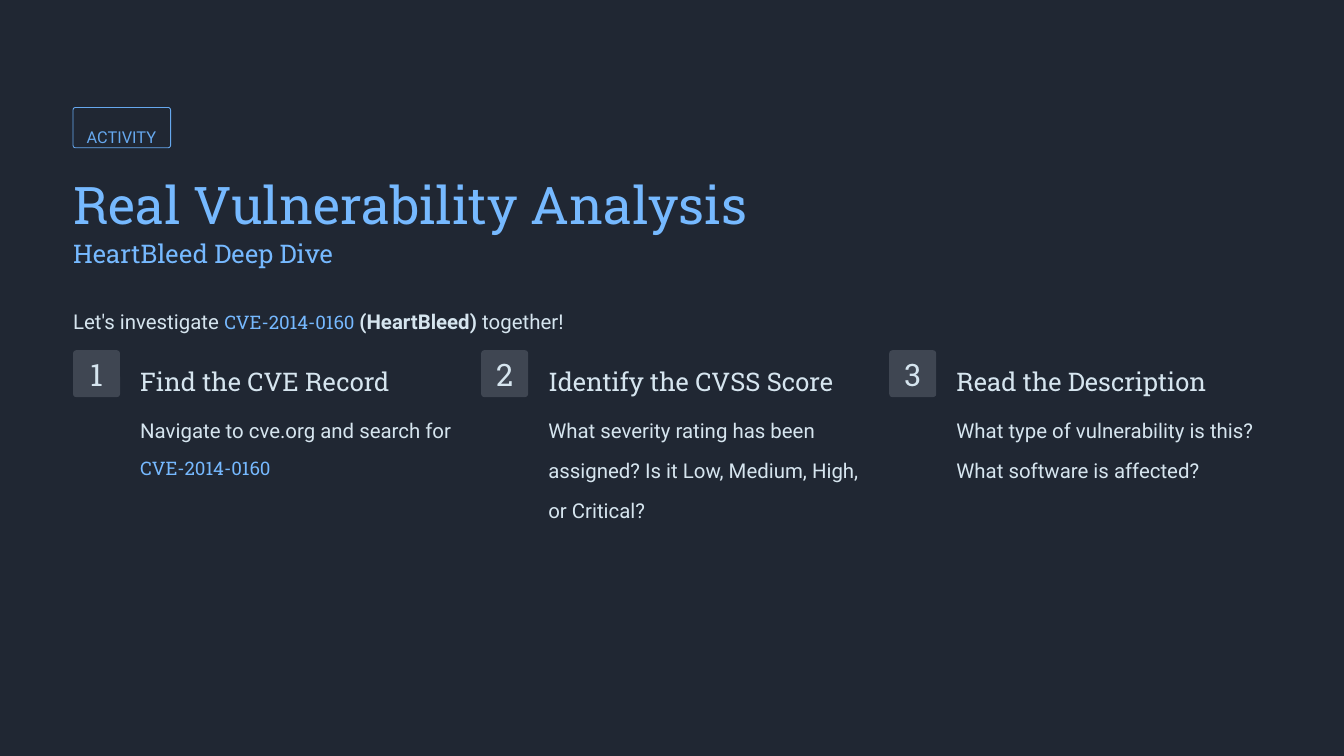
from pptx import Presentation
from pptx.dml.color import RGBColor
from pptx.enum.shapes import MSO_SHAPE
from pptx.enum.text import MSO_ANCHOR, PP_ALIGN
from pptx.util import Cm, Pt

NIGHT = RGBColor(0x20, 0x27, 0x33)
SLATE = RGBColor(0x3F, 0x46, 0x52)
SKY = RGBColor(0x76, 0xB9, 0xFF)
TAG_BLUE = RGBColor(0x66, 0xA8, 0xEE)
MIST = RGBColor(0xD6, 0xE5, 0xEF)

SANS = "Roboto"
SLAB = "Roboto Slab"

BODY = (SANS, 17.5, MIST, False)
STRONG = (SANS, 17.5, MIST, True)
CODE = (SLAB, 16, SKY, False)
TAG = (SANS, 14, TAG_BLUE, False)
TITLE = (SLAB, 44.5, SKY, False)
SUBTITLE = (SLAB, 22, SKY, False)
HEADING = (SLAB, 22, MIST, False)
NUMBER = (SLAB, 26.5, MIST, False)

LEFT, WIDTH = 2.21, 36.22
GAP = 0.8
BADGE = 1.42
INDENT = 2.03

STEPS = [
    ("Find the CVE Record",
     [("Navigate to cve.org and search for ", BODY), ("CVE-2014-0160", CODE)], 2.01),
    ("Identify the CVSS Score",
     [("What severity rating has been assigned? Is it Low, Medium, High, or Critical?", BODY)], 3.02),
    ("Read the Description",
     [("What type of vulnerability is this? What software is affected?", BODY)], 2.01),
]


def write(shape, pieces, spacing):
    frame = shape.text_frame
    frame.word_wrap = True
    frame.margin_left = frame.margin_top = frame.margin_right = frame.margin_bottom = 0
    paragraph = frame.paragraphs[0]
    paragraph.line_spacing = spacing
    for words, (face, size, color, bold) in pieces:
        run = paragraph.add_run()
        run.text = words
        run.font.name = face
        run.font.size = Pt(size)
        run.font.color.rgb = color
        run.font.bold = bold
    return paragraph


def add_text(slide, left, top, width, height, pieces, spacing=1.25):
    box = slide.shapes.add_textbox(Cm(left), Cm(top), Cm(width), Cm(height))
    write(box, pieces, spacing)


def add_rounded(slide, left, top, width, height, rounding):
    plate = slide.shapes.add_shape(
        MSO_SHAPE.ROUNDED_RECTANGLE, Cm(left), Cm(top), Cm(width), Cm(height))
    plate.adjustments[0] = rounding
    plate.shadow.inherit = False
    return plate


def add_tag(slide, left, top):
    outline = add_rounded(slide, left, top, 2.95, 1.22, 0.06)
    outline.fill.background()
    outline.line.color.rgb = TAG_BLUE
    outline.line.width = Pt(0.75)
    add_text(slide, left + 0.41, top + 0.23, 2.14, 0.81, [("ACTIVITY", TAG)], 1.61)


def add_header(slide, left, top, width):
    add_tag(slide, left, top)
    add_text(slide, left, top + 1.5, 20.42, 1.98, [("Real Vulnerability Analysis", TITLE)])
    add_text(slide, left, top + 3.71, 8.48, 0.99, [("HeartBleed Deep Dive", SUBTITLE)])
    add_text(slide, left, top + 5.64, width, 1.02, [
        ("Let's investigate ", BODY),
        ("CVE-2014-0160 ", CODE),
        ("(HeartBleed)", STRONG),
        (" together!", BODY),
    ], 1.63)


def add_step(slide, left, top, width, number, heading, details, details_height):
    badge = add_rounded(slide, left, top, BADGE, BADGE, 0.07)
    badge.fill.solid()
    badge.fill.fore_color.rgb = SLATE
    badge.line.fill.background()
    badge.text_frame.vertical_anchor = MSO_ANCHOR.MIDDLE
    write(badge, [(str(number), NUMBER)], 1.0).alignment = PP_ALIGN.CENTER
    text_left, text_width = left + INDENT, width - INDENT
    add_text(slide, text_left, top + 0.23, text_width, 0.99, [(heading, HEADING)])
    add_text(slide, text_left, top + 1.6, text_width, details_height, details, 1.63)


def add_steps(slide, left, top, width):
    column = (width - GAP * (len(STEPS) - 1)) / len(STEPS)
    for index, step in enumerate(STEPS):
        add_step(slide, left + index * (column + GAP), top, column, index + 1, *step)


def main():
    deck = Presentation()
    deck.slide_width, deck.slide_height = Cm(40.64), Cm(22.86)
    slide = deck.slides.add_slide(deck.slide_layouts[6])
    slide.background.fill.solid()
    slide.background.fill.fore_color.rgb = NIGHT
    add_header(slide, LEFT, 3.25, WIDTH)
    add_steps(slide, LEFT, 10.59, WIDTH)
    deck.save("out.pptx")


if __name__ == "__main__":
    main()
